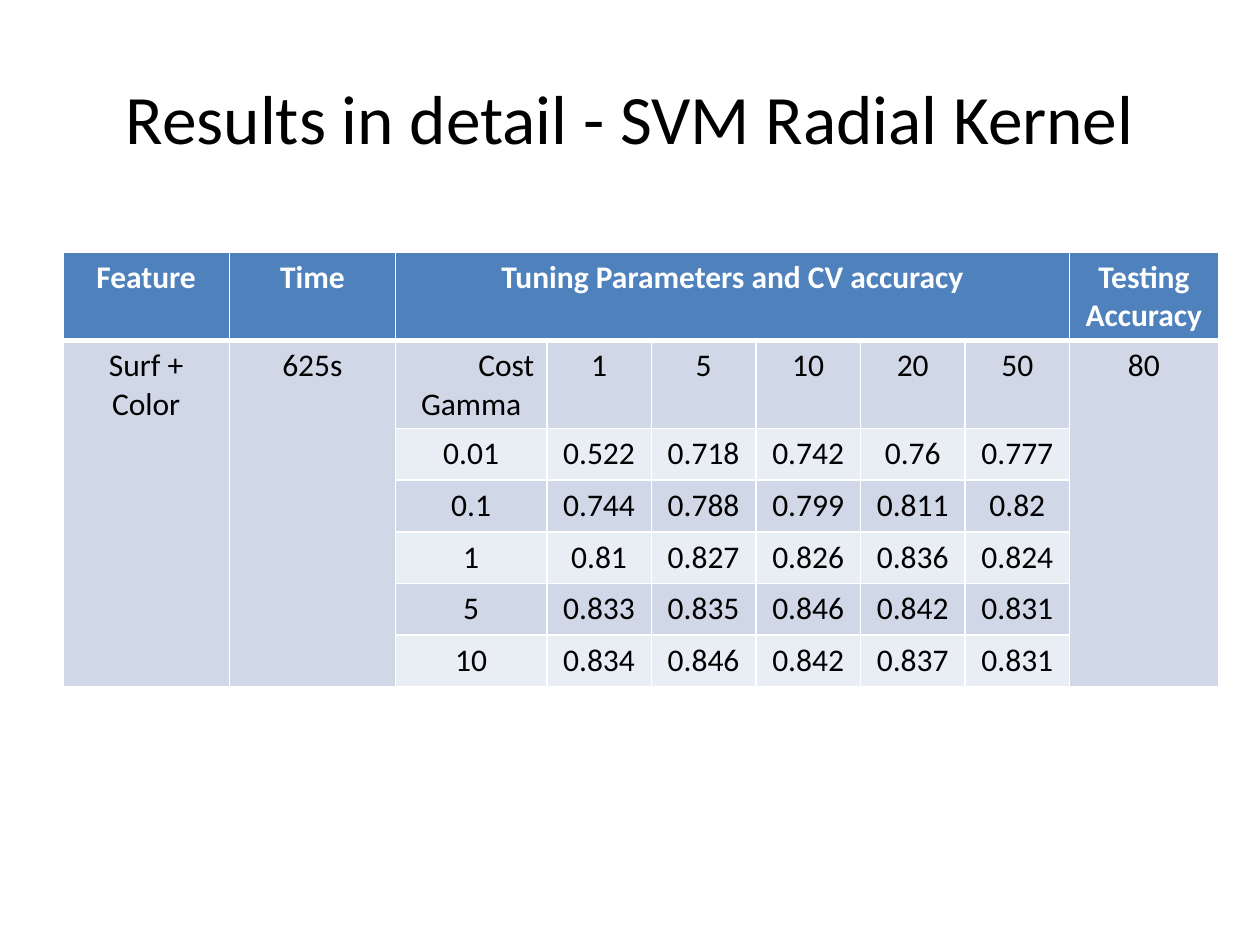
from lxml.etree import SubElement
from pptx import Presentation
from pptx.dml.color import RGBColor
from pptx.enum.text import MSO_ANCHOR, PP_ALIGN
from pptx.oxml.ns import qn
from pptx.util import Inches, Pt

FONT = "Calibri"
WHITE, BLACK = "FFFFFF", "000000"
HEADER_FILL, DARK_BAND, LIGHT_BAND = "4F81BD", "D0D8E8", "E9EDF4"

COL_WIDTHS = [1.32, 1.32, 1.2] + [0.83] * 5 + [1.18]
ROW_HEIGHTS = [0.7] * 2 + [0.41] * 5
SPANNING_COLS = (0, 1, 8)
ROWS = [
    ["Feature", "Time", "Tuning Parameters and CV accuracy", "", "", "", "", "",
     "Testing Accuracy"],
    ["Surf + Color", "625s", "Cost\nGamma", "1", "5", "10", "20", "50", "80"],
    ["", "", "0.01", "0.522", "0.718", "0.742", "0.76", "0.777", ""],
    ["", "", "0.1", "0.744", "0.788", "0.799", "0.811", "0.82", ""],
    ["", "", "1", "0.81", "0.827", "0.826", "0.836", "0.824", ""],
    ["", "", "5", "0.833", "0.835", "0.846", "0.842", "0.831", ""],
    ["", "", "10", "0.834", "0.846", "0.842", "0.837", "0.831", ""],
]


def rgb(color):
    return RGBColor.from_string(color)


def format_text(tf, size, color, bold=False):
    for p in tf.paragraphs:
        p.alignment = PP_ALIGN.CENTER
        for r in p.runs:
            r.font.name = FONT
            r.font.size = Pt(size)
            r.font.bold = bold
            r.font.color.rgb = rgb(color)


def add_title(slide, text):
    box = slide.shapes.add_textbox(Inches(0.5), Inches(0.3), Inches(9), Inches(1.25))
    tf = box.text_frame
    tf.word_wrap = True
    tf.vertical_anchor = MSO_ANCHOR.MIDDLE
    tf.text = text
    format_text(tf, 39.6, BLACK)


def set_borders(cell, **widths):
    """Draw white borders; widths in points are keyed by side: L, R, T, B."""
    tcPr = cell._tc.get_or_add_tcPr()
    for side, width in widths.items():
        ln = SubElement(tcPr, qn(f"a:ln{side}"), w=str(Pt(width)))
        fill = SubElement(ln, qn("a:solidFill"))
        SubElement(fill, qn("a:srgbClr"), val=WHITE)


def cell_fill(row, col):
    if row == 0:
        return HEADER_FILL
    return DARK_BAND if row % 2 or col in SPANNING_COLS else LIGHT_BAND


def format_cell(cell, row, col, text):
    is_header = row == 0
    cell.text = text
    format_text(cell.text_frame, 18, WHITE if is_header else BLACK, is_header)
    set_borders(cell, L=1, R=1, T=3 if row == 1 else 1, B=3 if is_header else 1)
    cell.fill.solid()
    cell.fill.fore_color.rgb = rgb(cell_fill(row, col))


def add_results_table(slide):
    table = slide.shapes.add_table(
        len(ROWS), len(COL_WIDTHS), Inches(0.5), Inches(2),
        Inches(sum(COL_WIDTHS)), Inches(sum(ROW_HEIGHTS))).table
    for column, width in zip(table.columns, COL_WIDTHS):
        column.width = Inches(width)
    for row, height in zip(table.rows, ROW_HEIGHTS):
        row.height = Inches(height)
    for i, texts in enumerate(ROWS):
        for j, text in enumerate(texts):
            format_cell(table.cell(i, j), i, j, text)
    table.cell(0, 2).merge(table.cell(0, 7))
    for j in SPANNING_COLS:
        table.cell(1, j).merge(table.cell(len(ROWS) - 1, j))
    table.cell(1, 2).text_frame.paragraphs[0].alignment = PP_ALIGN.RIGHT


def main():
    prs = Presentation()
    prs.slide_width, prs.slide_height = Inches(10), Inches(7.5)
    slide = prs.slides.add_slide(prs.slide_layouts[6])
    add_title(slide, "Results in detail - SVM Radial Kernel")
    add_results_table(slide)
    prs.save("out.pptx")


if __name__ == "__main__":
    main()
